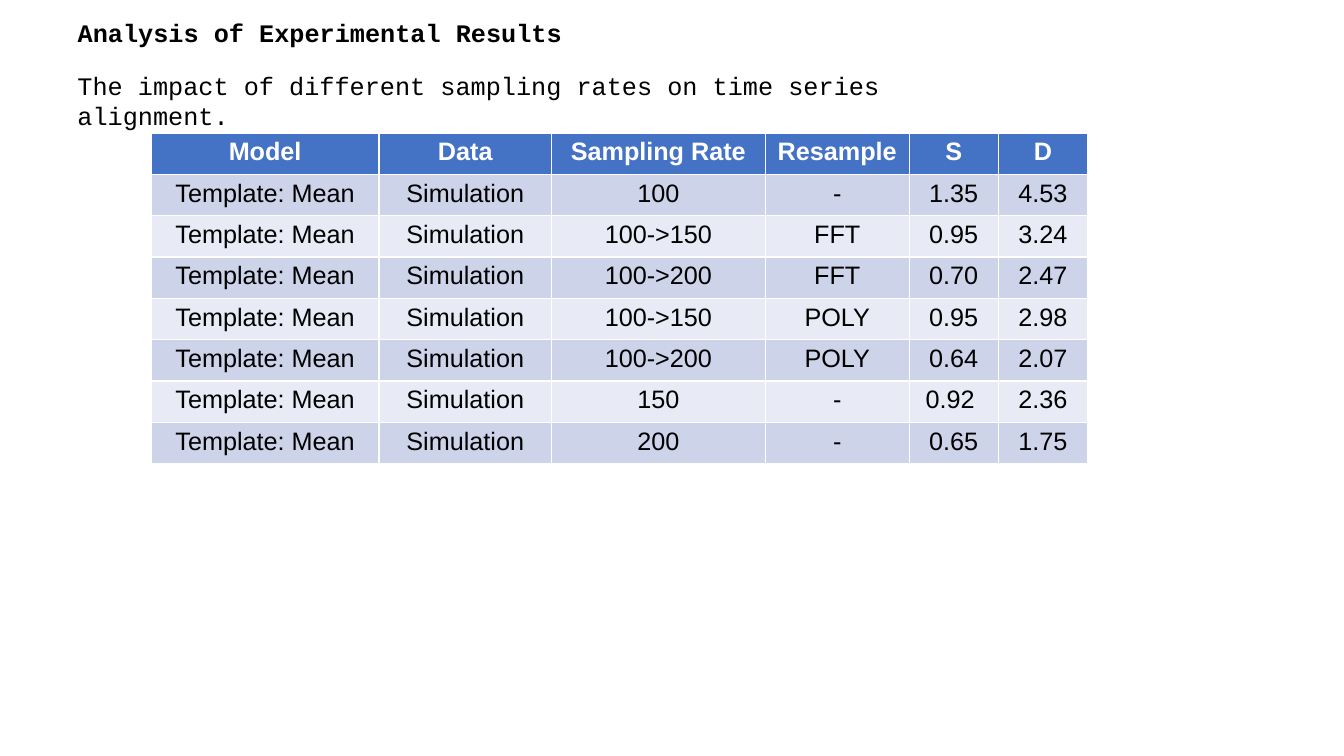
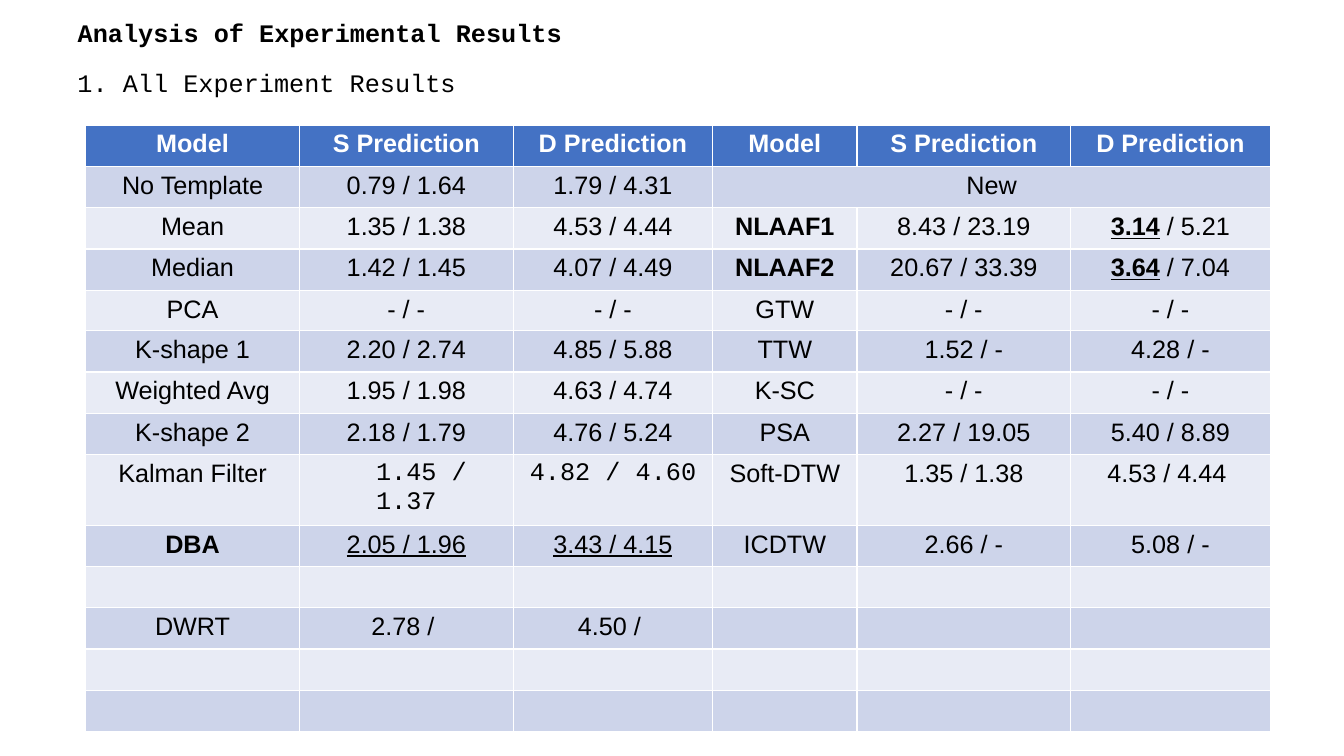
from pptx import Presentation
from pptx.dml.color import RGBColor
from pptx.enum.text import MSO_ANCHOR, MSO_AUTO_SIZE, PP_ALIGN
from pptx.util import Inches, Pt

TOP = MSO_ANCHOR.TOP
FIT_SHAPE = MSO_AUTO_SIZE.SHAPE_TO_FIT_TEXT
LEFT, CENTER = PP_ALIGN.LEFT, PP_ALIGN.CENTER

BLACK = RGBColor(0x00, 0x00, 0x00)
WHITE = RGBColor(0xFF, 0xFF, 0xFF)
HEADER_BLUE = RGBColor(0x44, 0x72, 0xC4)
BAND_DARK = RGBColor(0xCD, 0xD4, 0xEA)
BAND_LIGHT = RGBColor(0xE8, 0xEB, 0xF5)

MONO, SANS = "Courier New", "Arial"
TEXT_SIZE = Pt(18)
TITLE_ONLY = 5
TEXT_LEFT = 0.67
ROW_HEIGHT = 0.41

SAMPLING_ROWS = [
    ["Model", "Data", "Sampling Rate", "Resample", "S", "D"],
] + [["Template: Mean", "Simulation", *result] for result in (
    ("100", "-", "1.35", "4.53"),
    ("100->150", "FFT", "0.95", "3.24"),
    ("100->200", "FFT", "0.70", "2.47"),
    ("100->150", "POLY", "0.95", "2.98"),
    ("100->200", "POLY", "0.64", "2.07"),
    ("150", "-", "0.92 ", "2.36"),
    ("200", "-", "0.65", "1.75"),
)]

EMPTY_ROW = [""] * 6
EXPERIMENT_ROWS = [
    ["Model", "S Prediction", "D Prediction"] * 2,
    ["No Template", "0.79 / 1.64", "1.79 / 4.31", "New", "", ""],
    ["Mean", "1.35 / 1.38", "4.53 / 4.44", "NLAAF1", "8.43 / 23.19", "3.14 / 5.21"],
    ["Median", "1.42 / 1.45", "4.07 / 4.49", "NLAAF2", "20.67 / 33.39", "3.64 / 7.04"],
    ["PCA", "- / -", "- / -", "GTW", "- / -", "- / -"],
    ["K-shape 1", "2.20 / 2.74", "4.85 / 5.88", "TTW", "1.52 / -", "4.28 / -"],
    ["Weighted Avg", "1.95 / 1.98", "4.63 / 4.74", "K-SC", "- / -", "- / -"],
    ["K-shape 2", "2.18 / 1.79", "4.76 / 5.24", "PSA", "2.27 / 19.05", "5.40 / 8.89"],
    ["Kalman Filter", "1.45 / 1.37", "4.82 / 4.60", "Soft-DTW", "1.35 / 1.38", "4.53 / 4.44 "],
    ["DBA", "2.05 / 1.96", "3.43 / 4.15", "ICDTW", "2.66 / -", "5.08 / -"],
    EMPTY_ROW,
    ["DWRT", "2.78 / ", "4.50 / ", "", "", ""],
    EMPTY_ROW,
    EMPTY_ROW,
]


class Deck:
    """Holds the shared style and the slide being built."""

    def __init__(self):
        self.prs = Presentation()
        self.prs.slide_width = Inches(13.33)
        self.prs.slide_height = Inches(7.5)
        self.slide = None

    def style(self, paragraph, font, color=BLACK, bold=False, align=LEFT):
        paragraph.alignment = align
        for run in paragraph.runs:
            run.font.name = font
            run.font.size = TEXT_SIZE
            run.font.color.rgb = color
            run.font.bold = bold

    def line(self, shape, text, top, width, bold=False):
        """Place a monospaced line of text at the common left edge."""
        shape.left, shape.top = Inches(TEXT_LEFT), Inches(top)
        shape.width, shape.height = Inches(width), Inches(0.4)
        frame = shape.text_frame
        frame.text = text
        frame.word_wrap = True
        frame.auto_size = FIT_SHAPE
        frame.vertical_anchor = TOP
        self.style(frame.paragraphs[0], MONO, bold=bold)

    def new_slide(self, title):
        layout = self.prs.slide_layouts[TITLE_ONLY]
        self.slide = self.prs.slides.add_slide(layout)
        self.line(self.slide.shapes.title, title, 0.12, 5.05, bold=True)

    def subtitle(self, text, top, width):
        box = self.slide.shapes.add_textbox(0, 0, 0, 0)
        self.line(box, text, top, width)

    def table(self, rows, left, top, widths):
        """Add a table with a blue header and alternating bands."""
        table = self.slide.shapes.add_table(
            len(rows), len(widths), Inches(left), Inches(top),
            Inches(sum(widths)), Inches(ROW_HEIGHT * len(rows))).table
        for column, width in zip(table.columns, widths):
            column.width = Inches(width)
        for r, values in enumerate(rows):
            table.rows[r].height = Inches(ROW_HEIGHT)
            header = r == 0
            band = HEADER_BLUE if header else BAND_DARK if r % 2 else BAND_LIGHT
            for c, value in enumerate(values):
                cell = table.cell(r, c)
                cell.fill.solid()
                cell.fill.fore_color.rgb = band
                if value:
                    cell.text_frame.text = value
                    self.style(cell.text_frame.paragraphs[0], SANS,
                               WHITE if header else BLACK, header, CENTER)
        return table

    def emphasise(self, cell, bold=False, underline=False):
        for run in cell.text_frame.paragraphs[0].runs:
            run.font.bold = bold
            run.font.underline = underline

    def emphasise_first_value(self, cell):
        """Make the value before the slash bold and underlined."""
        paragraph = cell.text_frame.paragraphs[0]
        first, rest = paragraph.text.split(" ", 1)
        paragraph.text = first
        paragraph.add_run().text = " " + rest
        self.style(paragraph, SANS, align=CENTER)
        paragraph.runs[0].font.bold = True
        paragraph.runs[0].font.underline = True


def main():
    deck = Deck()
    heading = "Analysis of Experimental Results"

    # Sampling rates
    deck.new_slide(heading)
    deck.table(SAMPLING_ROWS, 1.5, 1.32, [2.26, 1.71, 2.12, 1.43, 0.88, 0.89])
    deck.subtitle("The impact of different sampling rates on time series alignment.",
                  0.65, 9.21)

    # All experiments
    deck.new_slide(heading)
    results = deck.table(EXPERIMENT_ROWS, 0.85, 1.24,
                         [2.12, 2.12, 1.98, 1.43, 2.12, 1.98])
    results.rows[4].height = Inches(0.39)
    results.cell(1, 3).merge(results.cell(1, 5))
    deck.subtitle("1. All Experiment Results", 0.62, 7.61)

    # Highlighted models and values
    for row, column in ((2, 3), (3, 3), (9, 0)):
        deck.emphasise(results.cell(row, column), bold=True)
    for column in (1, 2):
        deck.emphasise(results.cell(9, column), underline=True)
    for row in (2, 3):
        deck.emphasise_first_value(results.cell(row, 5))

    # Kalman filter values are monospaced, the first one indented
    for column in (1, 2):
        kalman = results.cell(8, column).text_frame.paragraphs[0]
        deck.style(kalman, MONO, align=CENTER)
        if column == 1:
            kalman._p.get_or_add_pPr().set("indent", str(Inches(0.3)))

    deck.prs.save("out.pptx")


if __name__ == "__main__":
    main()
